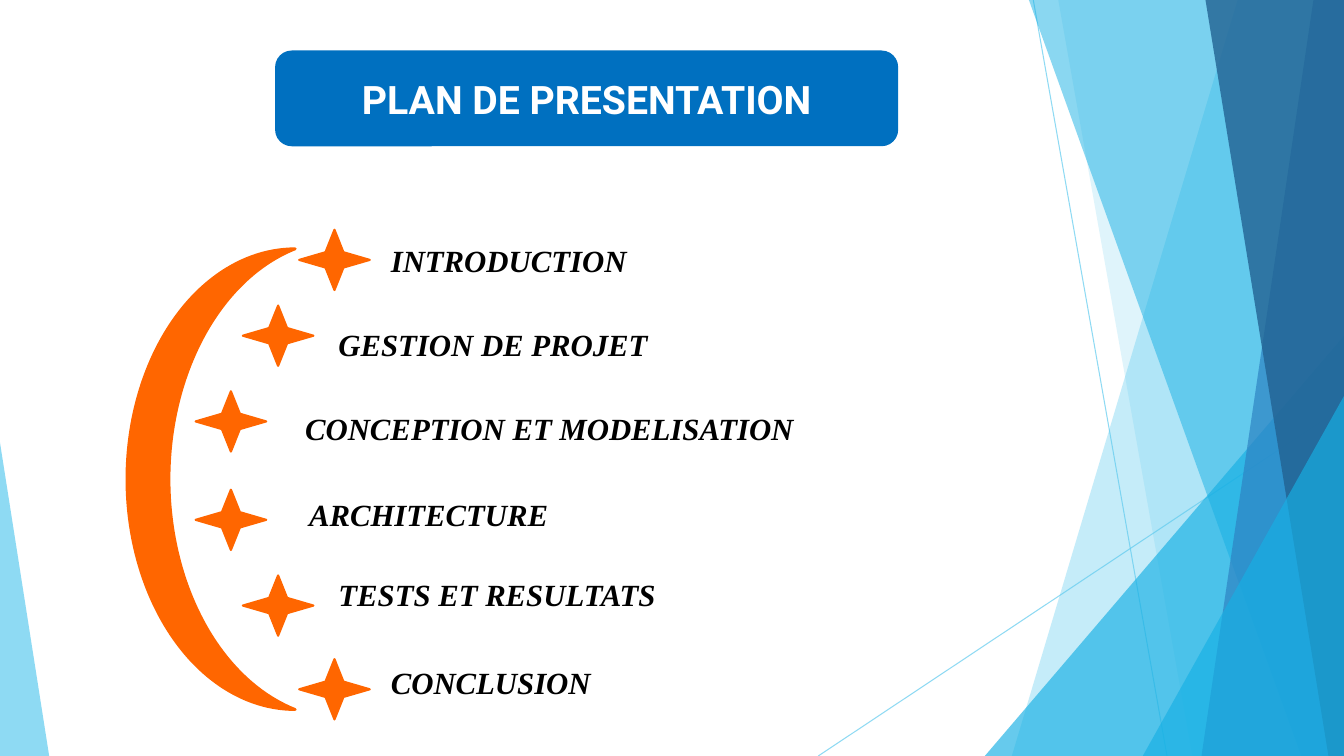
from pptx import Presentation
from pptx.dml.color import RGBColor
from pptx.enum.shapes import MSO_CONNECTOR, MSO_SHAPE
from pptx.enum.text import MSO_ANCHOR, MSO_AUTO_SIZE, PP_ALIGN
from pptx.oxml.ns import qn
from pptx.util import Cm, Pt
from lxml import etree

STRAIGHT = MSO_CONNECTOR.STRAIGHT
TRIANGLE = MSO_SHAPE.ISOSCELES_TRIANGLE
ROUNDED = MSO_SHAPE.ROUNDED_RECTANGLE
MOON = MSO_SHAPE.MOON
STAR = MSO_SHAPE.STAR_4_POINT
MIDDLE = MSO_ANCHOR.MIDDLE
FIT_SHAPE = MSO_AUTO_SIZE.SHAPE_TO_FIT_TEXT
CENTER = PP_ALIGN.CENTER

THEME = {
    "sky": RGBColor.from_string("5FCBEF"),
    "cyan": RGBColor.from_string("17B0E4"),
    "blue": RGBColor.from_string("2E83C3"),
    "navy": RGBColor.from_string("226292"),
    "banner": RGBColor.from_string("0070C0"),
    "orange": RGBColor.from_string("FF6600"),
    "title": {"name": "Roboto", "size": Pt(28), "bold": True},
    "title_color": RGBColor.from_string("FFFFFF"),
    "item": {"name": "Times New Roman", "size": Pt(22), "bold": True, "italic": True},
    "item_color": RGBColor.from_string("000000"),
}


def paint(shape, color, opacity=100, line_width=None):
    shape.shadow.inherit = False
    shape.fill.solid()
    shape.fill.fore_color.rgb = THEME[color]
    if opacity < 100:
        for color_element in shape._element.spPr.iter(qn("a:srgbClr")):
            etree.SubElement(color_element, qn("a:alpha"), val=str(opacity * 1000))
    if line_width:
        shape.line.color.rgb = THEME[color]
        shape.line.width = Pt(line_width)
    else:
        shape.line.fill.background()


def write(shape, text, style):
    paragraph = shape.text_frame.paragraphs[0]
    run = paragraph.add_run()
    run.text = text
    for attribute, value in THEME[style].items():
        setattr(run.font, attribute, value)
    run.font.color.rgb = THEME[style + "_color"]
    return paragraph


presentation = Presentation()
width, height = Cm(33.87), Cm(19.05)
presentation.slide_width, presentation.slide_height = width, height
slide = presentation.slides.add_slide(presentation.slide_layouts[6])
shapes = slide.shapes

for start_x, start_y, end_x in [(26.04, 0, 29.41), (33.87, 10.24, 20.62)]:
    connector = shapes.add_connector(STRAIGHT, Cm(start_x), Cm(start_y), Cm(end_x), height)
    connector.line.color.rgb = THEME["sky"]
    connector.line.width = Pt(0.75)
    properties = connector._element.spPr
    for color_element in properties.iter(qn("a:srgbClr")):
        etree.SubElement(color_element, qn("a:alpha"), val="70000")
    etree.SubElement(properties, qn("a:effectLst"))

facets = [
    ("band", 31.19, 25.5, "sky", 36),
    ("band", 26.67, 30.05, "sky", 20),
    ("triangle", 24.82, 8.46, "cyan", 66),
    ("band", 25.93, 32.79, "cyan", 50),
    ("band", 33.1, 30.28, "blue", 70),
    ("band", 30.38, 33.48, "navy", 80),
    ("triangle", 28.8, 9.98, "cyan", 66),
]
for kind, first, second, color, opacity in facets:
    if kind == "band":
        builder = shapes.build_freeform(Cm(first), 0)
        builder.add_line_segments([(width, 0), (width, height), (Cm(second), height)])
        facet = builder.convert_to_shape()
    else:
        left, top = Cm(first), Cm(second)
        facet = shapes.add_shape(TRIANGLE, left, top, width - left, height - top)
        facet.adjustments[0] = 1
    paint(facet, color, opacity)

left_facet = shapes.add_shape(TRIANGLE, 0, Cm(11.15), Cm(1.24), Cm(7.9))
left_facet.adjustments[0] = 0
paint(left_facet, "sky", 70)

banner = shapes.add_shape(ROUNDED, Cm(6.96), Cm(1.3), Cm(15.65), Cm(2.36))
paint(banner, "banner", line_width=1.5)
banner.text_frame.vertical_anchor = MIDDLE
write(banner, "PLAN DE PRESENTATION", "title").alignment = CENTER

moon = shapes.add_shape(MOON, Cm(3.2), Cm(6.27), Cm(4.24), Cm(11.61))
moon.adjustments[0] = 0.25
paint(moon, "orange", line_width=2)

agenda = [
    ("INTRODUCTION", 7.54, 5.79, 9.6, 5.97, 6.96),
    ("GESTION DE PROJET", 6.12, 7.7, 8.28, 8.08, 9.6),
    ("CONCEPTION ET MODELISATION", 4.93, 9.86, 7.44, 10.19, 14.71),
    ("ARCHITECTURE", 4.93, 12.34, 7.54, 12.37, 6.96),
    ("TESTS ET RESULTATS", 6.12, 14.5, 8.28, 14.38, 9.6),
    ("CONCLUSION", 7.54, 16.61, 9.6, 16.61, 6.96),
]
for text, star_left, star_top, text_left, text_top, text_width in agenda:
    star = shapes.add_shape(STAR, Cm(star_left), Cm(star_top), Cm(1.78), Cm(1.52))
    star.adjustments[0] = 0.18
    paint(star, "orange", line_width=1.5)
    label = shapes.add_textbox(Cm(text_left), Cm(text_top), Cm(text_width), Cm(1.19))
    label.text_frame.word_wrap = True
    label.text_frame.auto_size = FIT_SHAPE
    write(label, text, "item")

presentation.save("out.pptx")
